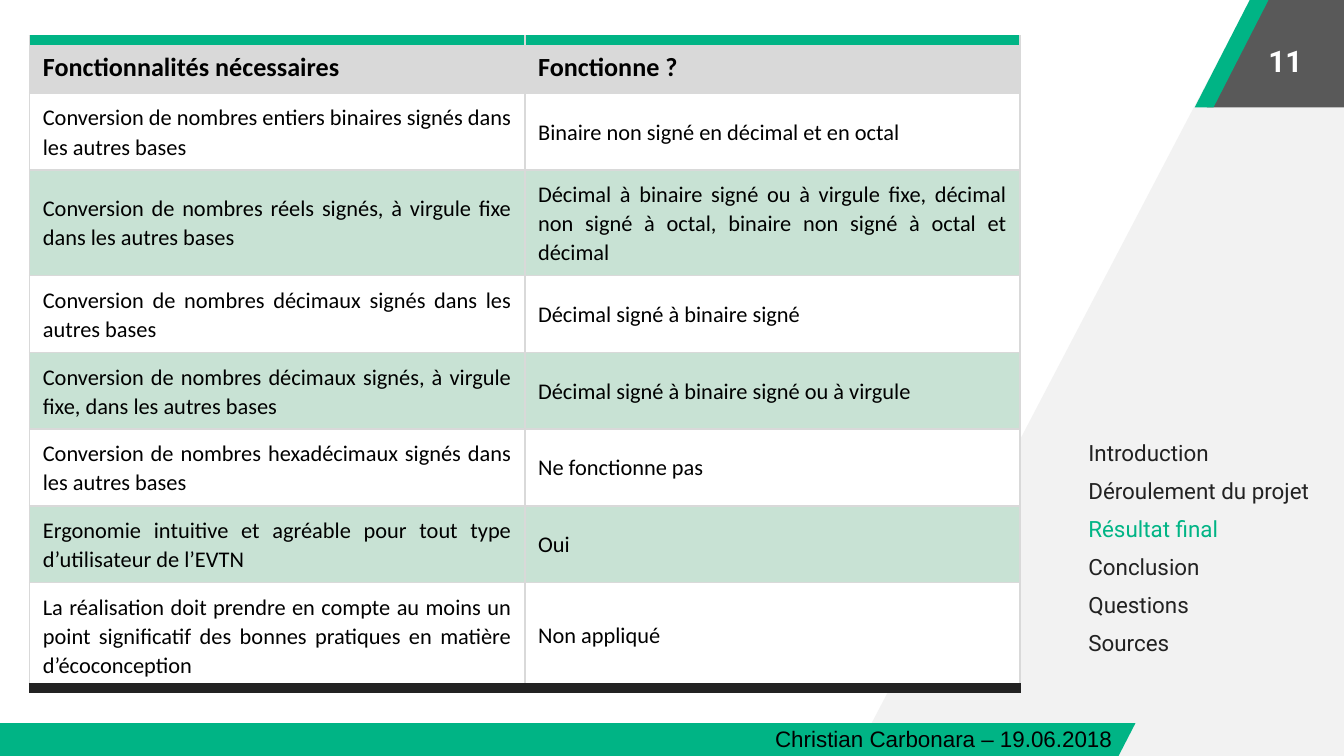
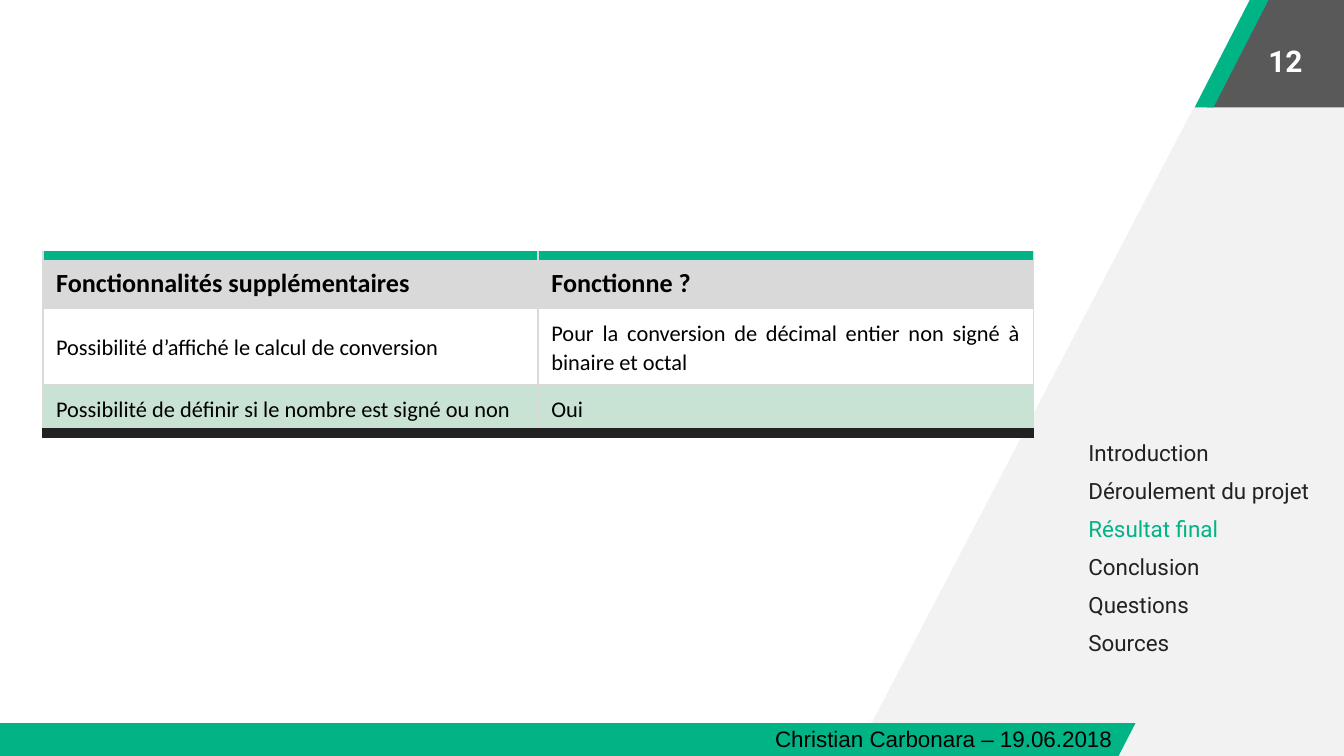
from dataclasses import dataclass

from lxml import etree
from pptx import Presentation
from pptx.dml.color import RGBColor
from pptx.enum import shapes, text
from pptx.oxml.ns import qn
from pptx.util import Cm, Pt


@dataclass(frozen=True)
class Theme:
    """Colours, fonts and type sizes of the deck."""
    green: str = "00B485"
    dark: str = "222222"
    charcoal: str = "595959"
    backdrop: str = "F2F2F2"
    grid: str = "D9D9D9"
    stripe: str = "C8E2D4"
    white: str = "FFFFFF"
    black: str = "000000"
    menu_font: str = "Roboto"
    table_font: str = "Calibri"
    footer_font: str = "Arial"
    body_size: int = 12
    header_size: int = 14
    number_size: int = 16
    rule: int = 1
    thick_rule: int = 6


THEME = Theme()
FOOTER = "Christian Carbonara – 19.06.2018"
SECTIONS = ["Introduction", "Déroulement du projet", "Résultat final",
            "Conclusion", "Questions", "Sources"]
CURRENT = "Résultat final"
COLUMN_WIDTH = 9.36
HEADER_HEIGHT = 1.0
FIRST_LINE, NEXT_LINE = 0.9, 0.55

# Each table row: left text, right text, number of lines in its taller cell.
REQUIRED = [
    ("Conversion de nombres entiers binaires signés dans les autres bases",
     "Binaire non signé en décimal et en octal", 2),
    ("Conversion de nombres réels signés, à virgule fixe dans les autres bases",
     "Décimal à binaire signé ou à virgule fixe, décimal non signé à octal, "
     "binaire non signé à octal et décimal", 3),
    ("Conversion de nombres décimaux signés dans les autres bases",
     "Décimal signé à binaire signé", 2),
    ("Conversion de nombres décimaux signés, à virgule fixe, dans les autres bases",
     "Décimal signé à binaire signé ou à virgule", 2),
    ("Conversion de nombres hexadécimaux signés dans les autres bases",
     "Ne fonctionne pas", 2),
    ("Ergonomie intuitive et agréable pour tout type d’utilisateur de l’EVTN",
     "Oui", 2),
    ("La réalisation doit prendre en compte au moins un point significatif des "
     "bonnes pratiques en matière d’écoconception", "Non appliqué", 3),
]
EXTRA = [
    ("Possibilité d’affiché le calcul de conversion",
     "Pour la conversion de décimal entier non signé à binaire et octal", 2),
    ("Possibilité de définir si le nombre est signé ou non", "Oui", 1),
]


def rgb(colour):
    """Turn a hex string into a colour object."""
    return RGBColor.from_string(colour)


def add_span(para, words, font, size, colour, bold=False):
    """Add one formatted run to a paragraph."""
    span = para.add_run()
    span.text = words
    span.font.name = font
    span.font.size = Pt(size)
    span.font.bold = bold
    span.font.color.rgb = rgb(colour)


def paint(shape, colour):
    """Give a shape a flat fill with no line or shadow."""
    shape.shadow.inherit = False
    shape.fill.solid()
    shape.fill.fore_color.rgb = rgb(colour)
    shape.line.fill.background()


def add_slanted_band(page, left, top, width, height, slant, colour):
    """Add a flat parallelogram."""
    band = page.shapes.add_shape(shapes.MSO_SHAPE.PARALLELOGRAM,
                                 Cm(left), Cm(top), Cm(width), Cm(height))
    band.adjustments[0] = slant
    paint(band, colour)


def add_backdrop(page):
    """Add the pale slanted panel on the right."""
    corners = [(Cm(x), Cm(y)) for x, y in
               [(16.05, 14.48), (23.85, -0.43), (25.68, -0.43), (25.58, 14.55)]]
    builder = page.shapes.build_freeform(*corners[0])
    builder.add_line_segments(corners[1:], close=True)
    paint(builder.convert_to_shape(), THEME.backdrop)


def add_box(page, left, top, width, height, inset=None):
    """Add a wrapping text box and return its text frame."""
    box = page.shapes.add_textbox(Cm(left), Cm(top), Cm(width), Cm(height))
    frame = box.text_frame
    frame.word_wrap = True
    if inset is not None:
        frame.margin_left = frame.margin_right = Cm(inset)
        frame.margin_top = frame.margin_bottom = Cm(inset)
    return frame


def add_menu(page):
    """List the sections, with the current one in green."""
    frame = add_box(page, 20.22, 8.05, 5.18, 5.64, inset=0.25)
    for index, section in enumerate(SECTIONS):
        para = frame.paragraphs[0] if index == 0 else frame.add_paragraph()
        para.space_before = Pt(6)
        properties = para._p.get_or_add_pPr()
        properties.set("marL", str(Cm(0.1)))
        properties.set("indent", "0")
        colour = THEME.green if section == CURRENT else THEME.dark
        add_span(para, section, THEME.menu_font, THEME.body_size, colour)


def add_number(page, number):
    """Write the page number in the top corner."""
    frame = add_box(page, 23.47, 0.13, 1.65, 2.03, inset=0.25)
    frame.vertical_anchor = text.MSO_ANCHOR.MIDDLE
    para = frame.paragraphs[0]
    para.alignment = text.PP_ALIGN.CENTER
    add_span(para, str(number), THEME.menu_font, THEME.number_size, THEME.white, True)


def add_footer(page):
    """Write the author and date on the bottom band."""
    frame = add_box(page, 14.4, 13.59, 7.01, 0.76)
    frame.auto_size = text.MSO_AUTO_SIZE.SHAPE_TO_FIT_TEXT
    add_span(frame.paragraphs[0], FOOTER, THEME.footer_font, THEME.body_size, THEME.black)


def set_borders(cell, top, bottom):
    """Draw the four cell borders; top and bottom are (colour, points)."""
    side = (THEME.grid, THEME.rule)
    properties = cell._tc.get_or_add_tcPr()
    for tag, (colour, points) in zip(("lnL", "lnR", "lnT", "lnB"),
                                     (side, side, top, bottom)):
        line = etree.SubElement(properties, qn("a:" + tag), w=str(Pt(points)))
        fill = etree.SubElement(line, qn("a:solidFill"))
        etree.SubElement(fill, qn("a:srgbClr"), val=colour)


def fill_cell(cell, words, header, colour):
    """Set the fill, margins and text of a table cell."""
    cell.fill.solid()
    cell.fill.fore_color.rgb = rgb(colour)
    cell.vertical_anchor = text.MSO_ANCHOR.MIDDLE
    cell.margin_left = cell.margin_right = Cm(0.25)
    cell.margin_top = cell.margin_bottom = Cm(0.18)
    para = cell.text_frame.paragraphs[0]
    para.line_spacing = 1.07
    para.space_after = Pt(8)
    if not header:
        para.alignment = text.PP_ALIGN.JUSTIFY
    size = THEME.header_size if header else THEME.body_size
    add_span(para, words, THEME.table_font, size, THEME.black, header)


def add_feature_table(page, left, top, title, features):
    """Add a striped two-column table of features and their state."""
    rows = [(title, "Fonctionne ?")] + [feature[:2] for feature in features]
    heights = [HEADER_HEIGHT] + [FIRST_LINE + NEXT_LINE * (lines - 1)
                                 for _, _, lines in features]
    table = page.shapes.add_table(len(rows), 2, Cm(left), Cm(top),
                                  Cm(2 * COLUMN_WIDTH), Cm(sum(heights))).table
    table.first_row = table.horz_banding = False
    for column in table.columns:
        column.width = Cm(COLUMN_WIDTH)
    thin = (THEME.grid, THEME.rule)
    for r, (row, height) in enumerate(zip(rows, heights)):
        table.rows[r].height = Cm(height)
        header, last = r == 0, r == len(rows) - 1
        stripe = THEME.white if r % 2 else THEME.stripe
        for c, words in enumerate(row):
            cell = table.cell(r, c)
            set_borders(cell,
                        (THEME.green, THEME.thick_rule) if header else thin,
                        (THEME.dark, THEME.thick_rule) if last else thin)
            fill_cell(cell, words, header, THEME.grid if header else stripe)


def add_page(deck, number):
    """Add a blank page with the shared decoration, menu and number."""
    page = deck.slides.add_slide(deck.slide_layouts[6])
    add_backdrop(page)
    add_slanted_band(page, 22.81, -0.05, 4.88, 2.08, 0.515, THEME.charcoal)
    add_slanted_band(page, 22.58, -0.05, 1.42, 2.08, 0.75, THEME.green)
    add_slanted_band(page, -1.78, 13.67, 23.24, 0.64, 0.515, THEME.green)
    add_footer(page)
    add_menu(page)
    add_number(page, number)
    return page


def main():
    """Build and save the deck."""
    deck = Presentation()
    deck.slide_width, deck.slide_height = Cm(25.4), Cm(14.29)
    add_feature_table(add_page(deck, 11), 0.56, 0.76,
                      "Fonctionnalités nécessaires", REQUIRED)
    add_feature_table(add_page(deck, 12), 0.81, 4.83,
                      "Fonctionnalités supplémentaires", EXTRA)
    deck.save("out.pptx")


main()
